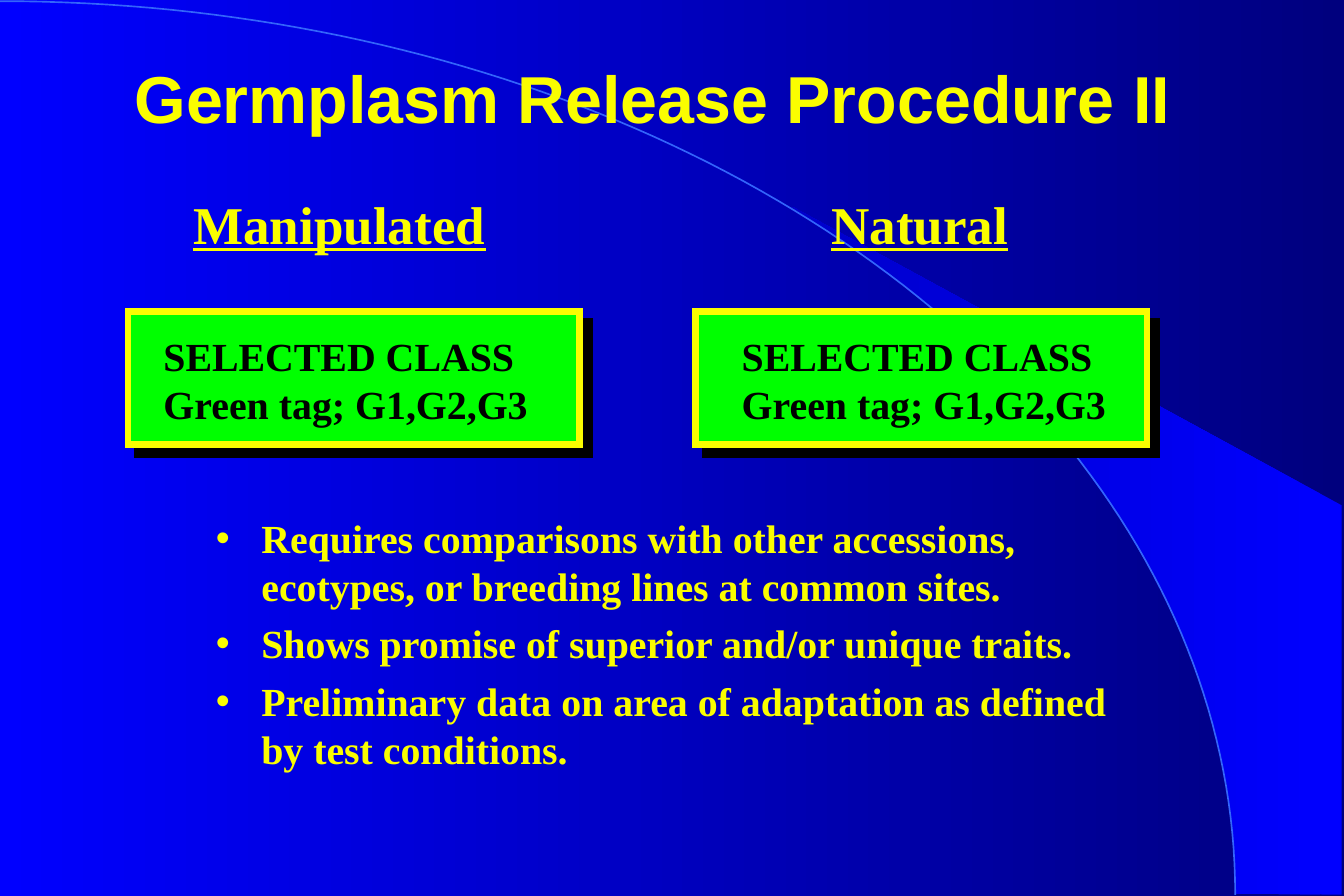
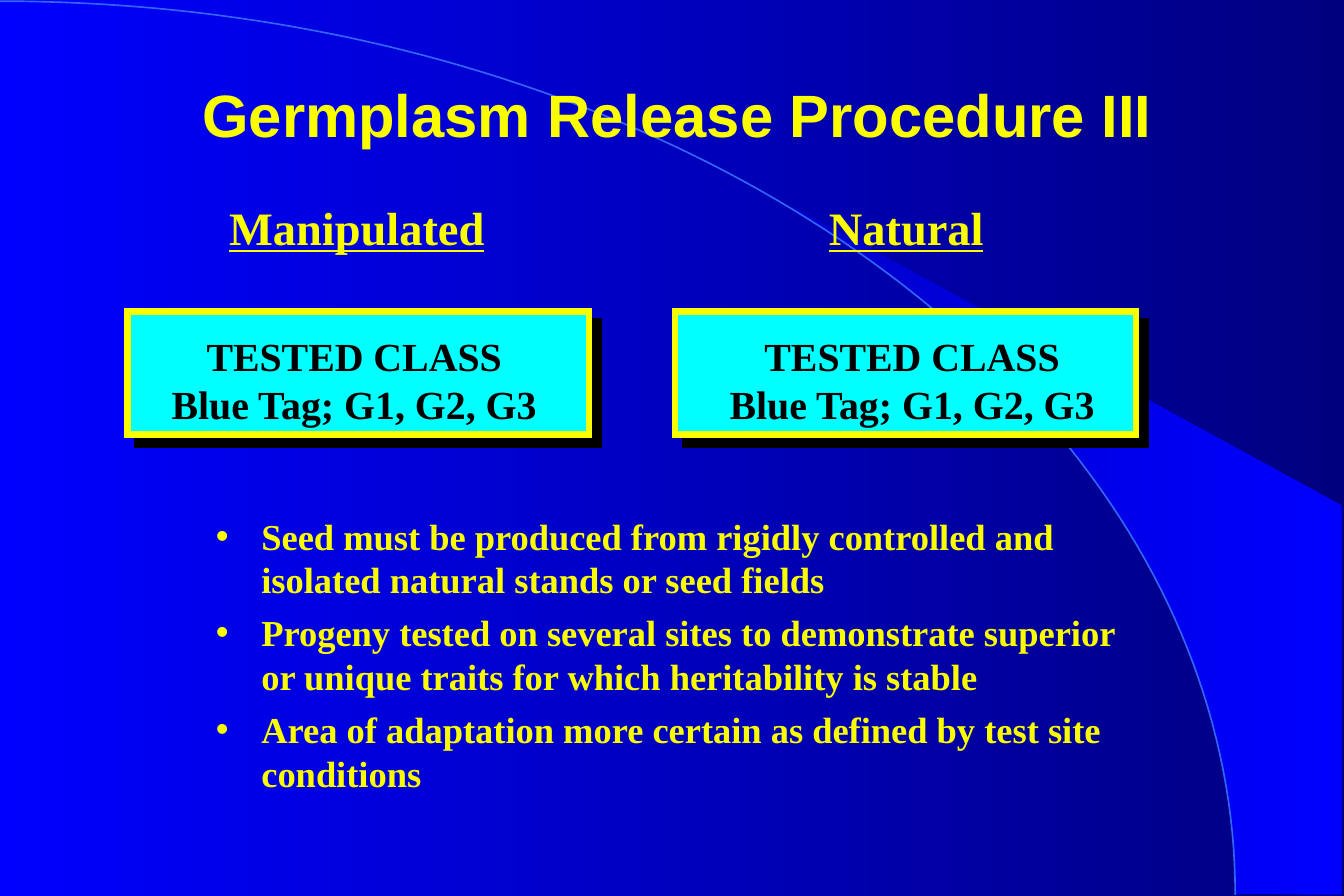
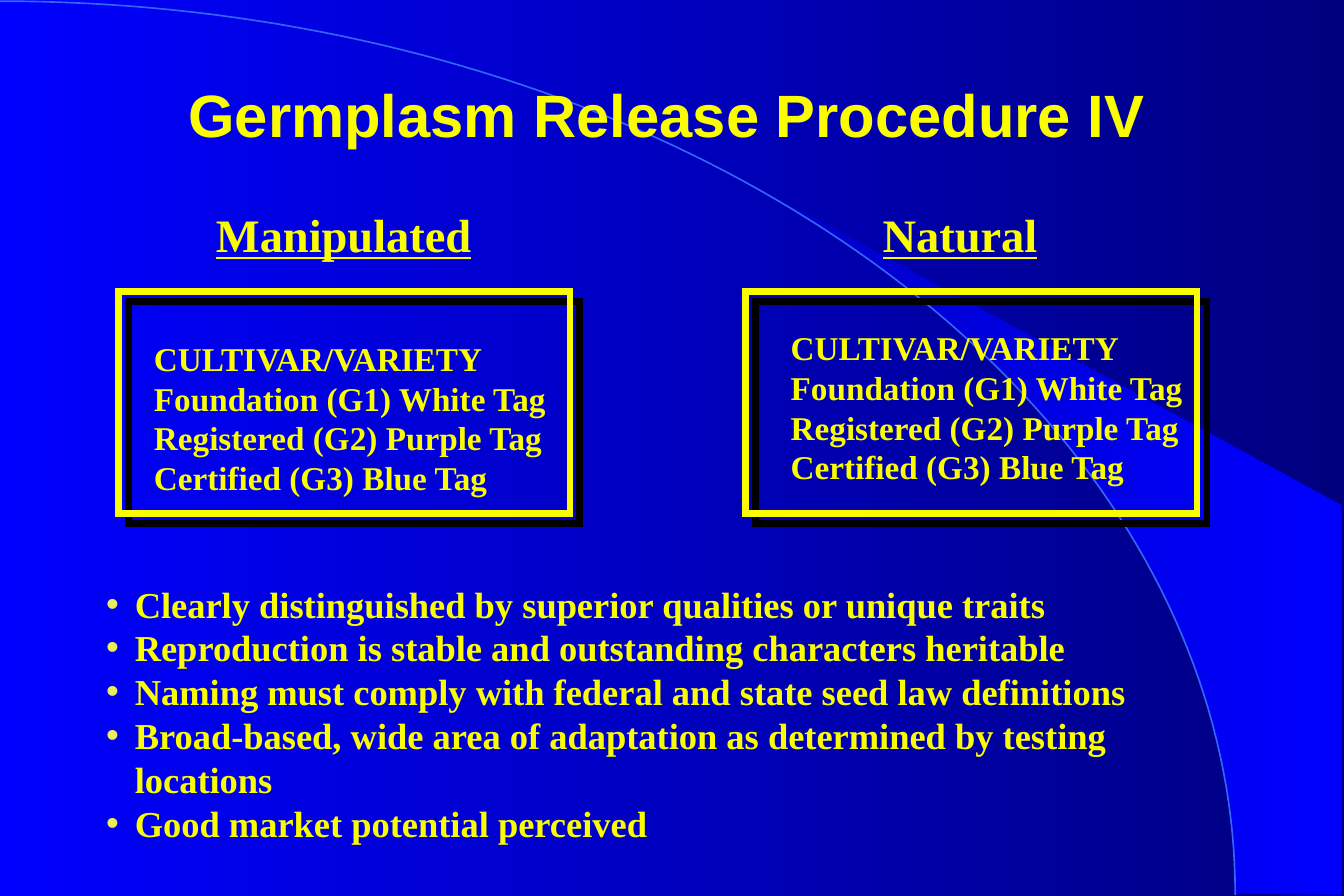
import math
from dataclasses import dataclass

from pptx import Presentation
from pptx.dml.color import RGBColor
from pptx.enum import shapes, text
from pptx.oxml import ns, xmlchemy
from pptx.util import Inches, Pt

YELLOW = RGBColor(0xFA, 0xFD, 0x00)
PALE_YELLOW = RGBColor(0xEA, 0xEC, 0x5E)
BLACK = RGBColor(0x00, 0x00, 0x00)
GREEN = RGBColor(0x00, 0xFF, 0x00)
CYAN = RGBColor(0x00, 0xFF, 0xFF)
NAVY = RGBColor(0x00, 0x00, 0x7E)
BLUE = RGBColor(0x00, 0x00, 0xFF)
DEEP_BLUE = RGBColor(0x00, 0x00, 0xCB)
ARC_BLUE = RGBColor(0x33, 0x65, 0xFB)

TITLE_FONT = "Arial"
BODY_FONT = "Times New Roman"
TITLE_ONLY = 5

WEDGE = [
    (10.35, 7.48), (11.23, 7.49), (11.23, 4.23), (6.63, 1.73), (7.02, 1.99),
    (7.34, 2.22), (7.71, 2.5), (8.06, 2.8), (8.57, 3.3), (9.03, 3.84),
    (9.36, 4.31), (9.65, 4.79), (9.88, 5.28), (10.05, 5.72), (10.16, 6.09),
    (10.27, 6.56), (10.32, 6.96),
]
ARC_WIDTH, ARC_HEIGHT, ARC_TOP, ARC_STEPS = 10.34, 7.48, 0.01, 90


@dataclass
class Column:
    heading: str
    left: float
    heading_offset: float
    heading_width: float
    label_offset: tuple


@dataclass
class Cards:
    top: float
    width: float
    height: float
    fill: RGBColor
    heading_top: float
    heading_size: int
    label: list
    label_size: int
    label_width: float
    label_color: RGBColor = BLACK
    align: text.PP_ALIGN = text.PP_ALIGN.LEFT


def add_element(parent, tag, **attributes):
    element = xmlchemy.OxmlElement(tag)
    for name, value in attributes.items():
        element.set(name, str(value))
    parent.append(element)
    return element


def style(paragraph, size, color=YELLOW, name=BODY_FONT, underline=None):
    font = paragraph.font
    font.name, font.size, font.bold = name, Pt(size), True
    font.color.rgb = color
    font.underline = underline


def paint_gradient(fill, first, last):
    fill.gradient()
    fill.gradient_angle = 180
    for stop, color in zip(fill.gradient_stops, (first, last)):
        stop.color.rgb = color


def add_outline(slide, points, close):
    corners = [(Inches(x), Inches(y)) for x, y in points]
    builder = slide.shapes.build_freeform(*corners[0])
    builder.add_line_segments(corners[1:], close=close)
    shape = builder.convert_to_shape()
    shape.shadow.inherit = False
    return shape


def decorate_master(presentation, slide):
    master = presentation.slide_master
    paint_gradient(master.background.fill, NAVY, BLUE)

    wedge = add_outline(slide, WEDGE, True)
    paint_gradient(wedge.fill, BLUE, DEEP_BLUE)
    wedge.line.fill.background()

    angles = [math.pi / 2 * step / ARC_STEPS for step in range(ARC_STEPS + 1)]
    arc = add_outline(slide, [
        (ARC_WIDTH * math.sin(angle), ARC_TOP + ARC_HEIGHT * (1 - math.cos(angle)))
        for angle in angles
    ], False)
    arc.fill.background()
    arc.line.color.rgb = ARC_BLUE
    arc.line.width = Pt(1)

    tree = master.element.cSld.spTree
    for index, shape in enumerate((wedge, arc), start=2):
        tree.insert(index, shape.element)


def set_title(slide, wording, box, size):
    title = slide.shapes.title
    title.left, title.top, title.width, title.height = map(Inches, box)
    frame = title.text_frame
    frame.text = wording
    frame.auto_size = text.MSO_AUTO_SIZE.NONE
    frame.vertical_anchor = text.MSO_ANCHOR.MIDDLE
    frame.paragraphs[0].alignment = text.PP_ALIGN.CENTER
    style(frame.paragraphs[0], size, name=TITLE_FONT)


def add_text(slide, box, lines, wrap=False):
    frame = slide.shapes.add_textbox(*map(Inches, box)).text_frame
    frame.word_wrap = wrap
    if not wrap:
        frame.auto_size = text.MSO_AUTO_SIZE.SHAPE_TO_FIT_TEXT
    frame.text = "\n".join(lines)
    return frame.paragraphs


def add_card(slide, box, fill):
    card = slide.shapes.add_shape(shapes.MSO_SHAPE.RECTANGLE, *map(Inches, box))
    card.shadow.inherit = False
    if fill is None:
        card.fill.background()
    else:
        card.fill.solid()
        card.fill.fore_color.rgb = fill
    card.line.color.rgb = YELLOW
    card.line.width = Pt(4)
    properties = card.element.spPr
    add_element(properties.find(ns.qn("a:ln")), "a:miter", lim=800000)
    shadow = add_element(properties.find(ns.qn("a:effectLst")), "a:outerShdw",
                         dist=Pt(8.5), dir=45 * 60000, algn="ctr", rotWithShape=0)
    add_element(shadow, "a:srgbClr", val=BLACK)


def add_column(slide, column, cards):
    left, top = column.left, cards.top
    heading_box = (left + column.heading_offset, cards.heading_top,
                   column.heading_width, cards.heading_size / 50)
    heading = add_text(slide, heading_box, [column.heading])[0]
    style(heading, cards.heading_size, underline=True)

    add_card(slide, (left, top, cards.width, cards.height), cards.fill)

    across, down = column.label_offset
    label_box = (left + across, top + down, cards.label_width,
                 0.1 + len(cards.label) * cards.label_size / 60)
    for paragraph in add_text(slide, label_box, cards.label):
        paragraph.alignment = cards.align
        style(paragraph, cards.label_size, cards.label_color)


def add_bullets(slide, box, lines, size, indent, gap, bullet_color):
    for index, paragraph in enumerate(add_text(slide, box, lines, wrap=True)):
        if index:
            paragraph.space_before = Pt(gap)
        properties = paragraph._p.get_or_add_pPr()
        properties.set("marL", str(Inches(indent)))
        properties.set("indent", str(-Inches(indent)))
        color = add_element(properties, "a:buClr")
        add_element(color, "a:srgbClr", val=bullet_color)
        add_element(properties, "a:buFont", typeface=TITLE_FONT)
        add_element(properties, "a:buChar", char="•")
        style(paragraph, size)


def add_procedure(slide, title, cards, columns, bullets):
    set_title(slide, **title)
    for column in columns:
        add_column(slide, column, cards)
    add_bullets(slide, **bullets)


PROCEDURES = [
    dict(
        title=dict(wording="Germplasm Release Procedure II",
                   box=(0.71, 0.19, 9.5, 1.25), size=40),
        cards=Cards(2.61, 3.78, 1.11, GREEN, 1.55, 32,
                    ["SELECTED CLASS", "Green tag; G1,G2,G3"], 24, 3.28),
        columns=[Column("Manipulated", 1.07, 0.45, 2.7, (0.2, 0.12)),
                 Column("Natural", 5.82, 1.04, 1.72, (0.29, 0.12))],
        bullets=dict(
            box=(1.71, 4.25, 7.83, 1.92), size=24, indent=0.38, gap=6,
            bullet_color=YELLOW,
            lines=[
                "Requires comparisons with other accessions, ecotypes, or breeding lines at common sites.",
                "Shows promise of superior and/or unique traits.",
                "Preliminary data on area of adaptation as defined by test conditions.",
            ]),
    ),
    dict(
        title=dict(wording="Germplasm Release Procedure III",
                   box=(0.46, 0.33, 10.42, 1.25), size=36),
        cards=Cards(2.61, 3.86, 1.03, CYAN, 1.62, 28,
                    ["TESTED CLASS", "Blue Tag; G1, G2, G3"], 24, 3.29,
                    align=text.PP_ALIGN.CENTER),
        columns=[Column("Manipulated", 1.07, 0.75, 2.4, (0.25, 0.12)),
                 Column("Natural", 5.65, 1.19, 1.55, (0.34, 0.12))],
        bullets=dict(
            box=(1.71, 4.25, 7.83, 1.92), size=22, indent=0.38, gap=5.5,
            bullet_color=YELLOW,
            lines=[
                "Seed must be produced from rigidly controlled and isolated natural stands or seed fields",
                "Progeny tested on several sites to demonstrate superior or unique traits for which heritability is stable",
                "Area of adaptation more certain as defined by test site conditions",
            ]),
    ),
    dict(
        title=dict(wording="Germplasm Release Procedure IV",
                   box=(0.29, 0.33, 10.58, 1.25), size=36),
        cards=Cards(2.44, 3.78, 1.86, None, 1.68, 28,
                    ["CULTIVAR/VARIETY", "Foundation (G1) White Tag",
                     "Registered (G2) Purple Tag", "Certified (G3) Blue Tag"],
                    20, 3.52, YELLOW),
        columns=[Column("Manipulated", 0.99, 0.72, 2.4, (0.2, 0.34)),
                 Column("Natural", 6.24, 1.05, 1.55, (0.28, 0.25))],
        bullets=dict(
            box=(0.79, 4.82, 9.67, 1.93), size=22, indent=0.24, gap=0,
            bullet_color=PALE_YELLOW,
            lines=[
                "Clearly distinguished by superior qualities or unique traits",
                "Reproduction is stable and outstanding characters heritable",
                "Naming must comply with federal and state seed law definitions",
                "Broad-based, wide area of adaptation as determined by testing locations",
                "Good market potential perceived",
            ]),
    ),
]


def main():
    presentation = Presentation()
    presentation.slide_width = Inches(11.25)
    presentation.slide_height = Inches(7.5)
    layout = presentation.slide_layouts[TITLE_ONLY]
    for procedure in PROCEDURES:
        add_procedure(presentation.slides.add_slide(layout), **procedure)
    decorate_master(presentation, presentation.slides[0])
    presentation.save("out.pptx")


if __name__ == "__main__":
    main()
